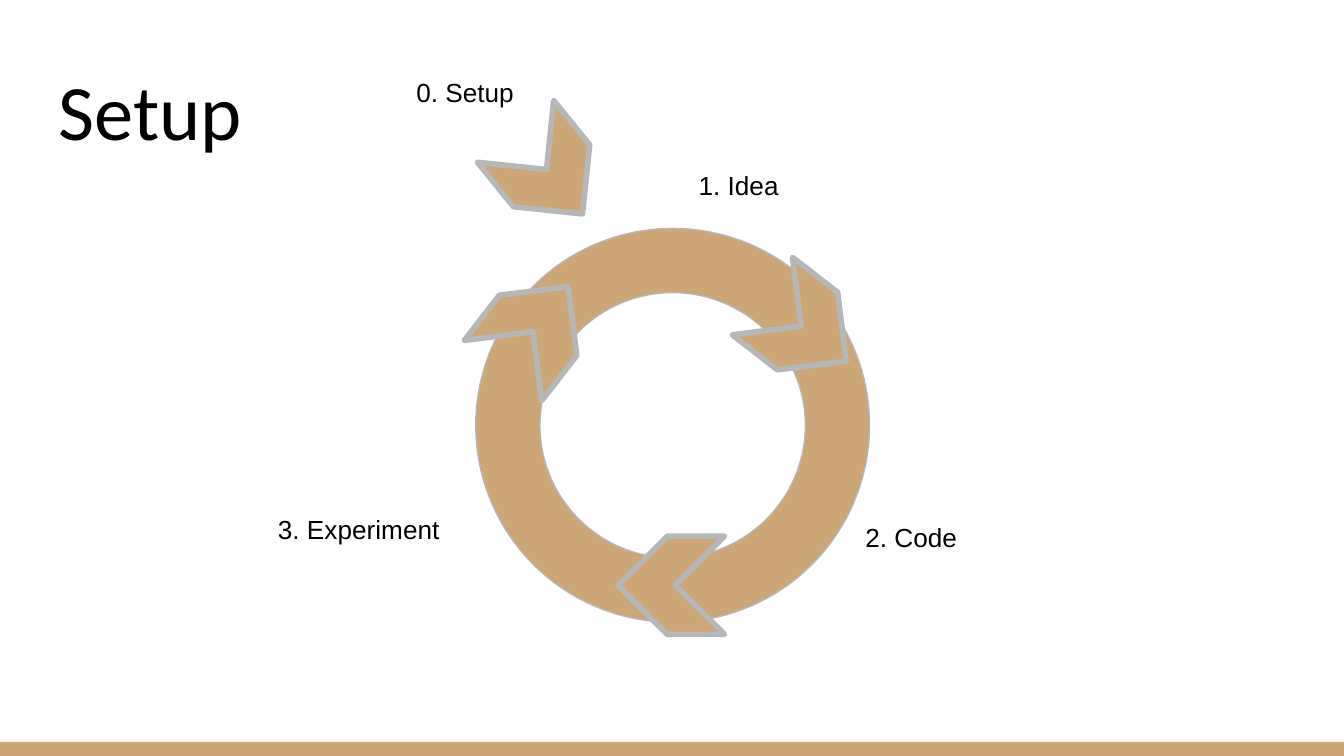
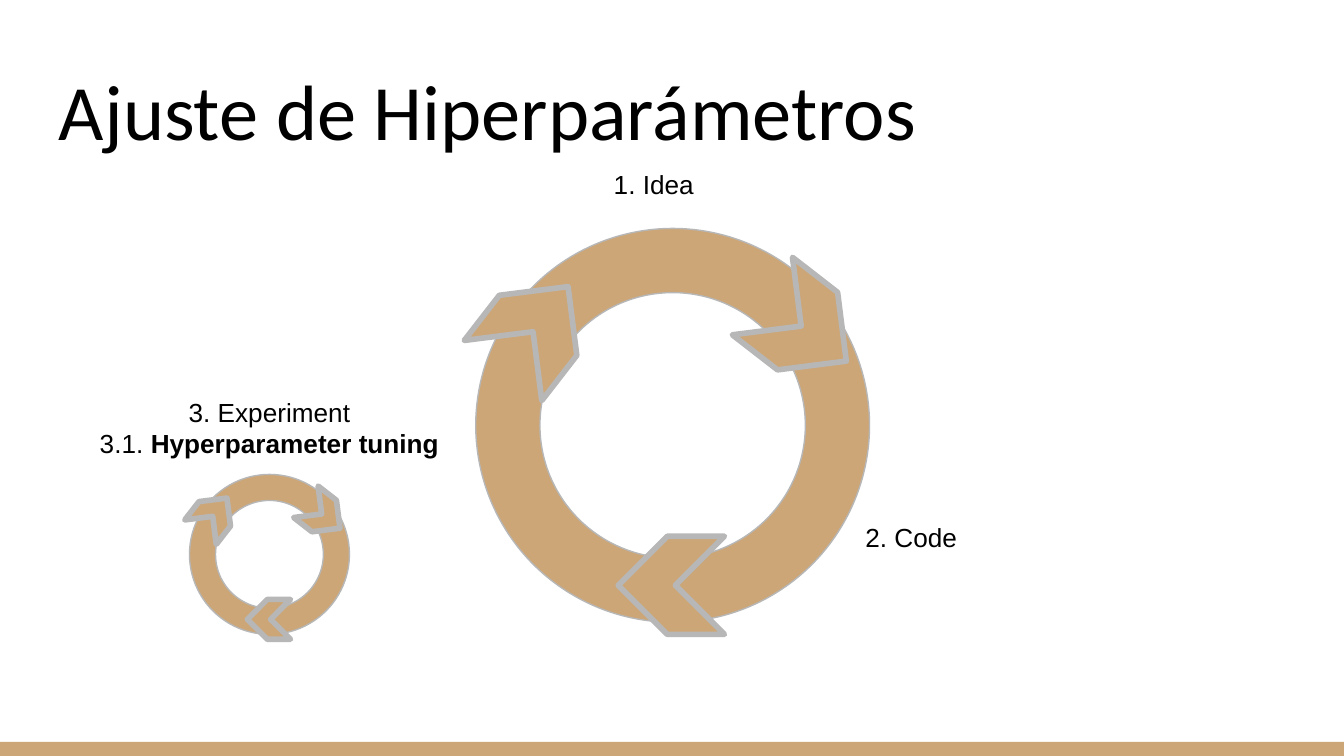
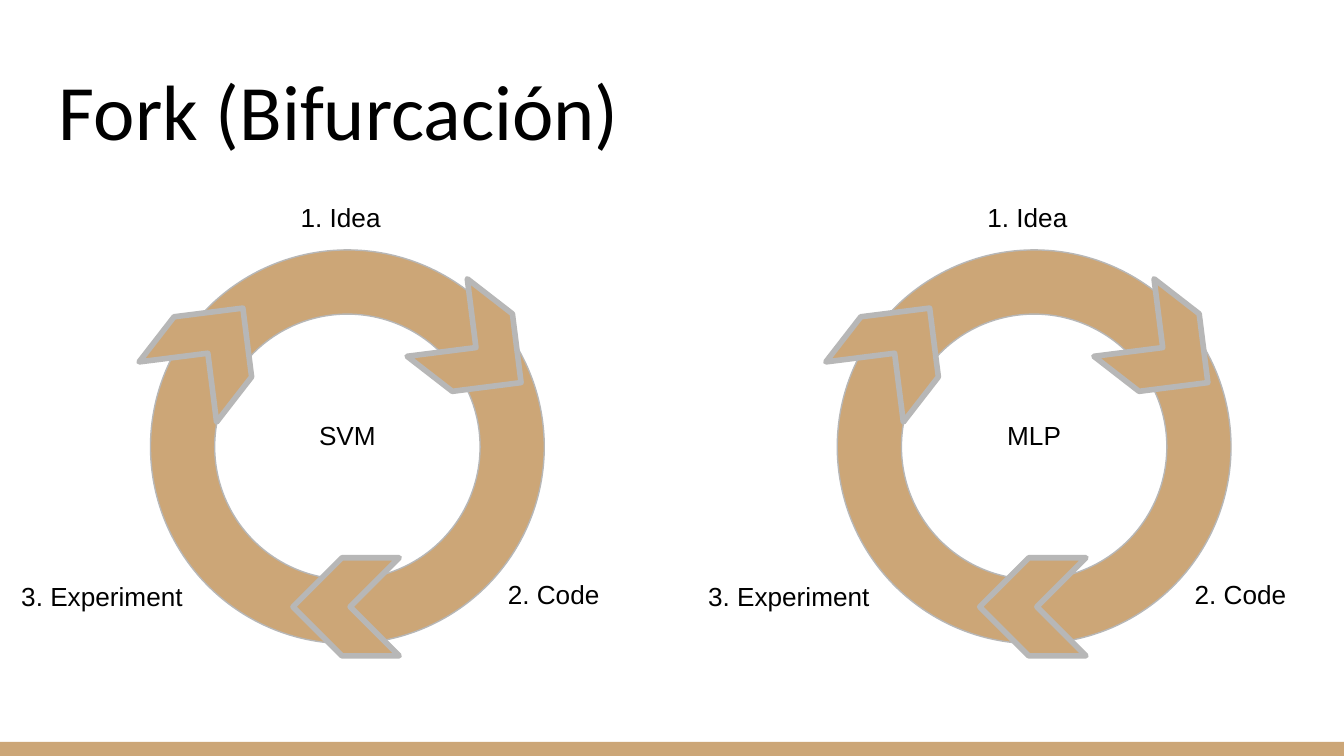
from pptx import Presentation
from pptx.dml.color import RGBColor
from pptx.enum.shapes import MSO_SHAPE
from pptx.enum.text import MSO_ANCHOR, PP_ALIGN
from pptx.util import Inches, Pt

TAN = RGBColor(0xCC, 0xA6, 0x77)
GRAY = RGBColor(0xB7, 0xB7, 0xB7)
BLACK = RGBColor(0, 0, 0)
RECT, DONUT, CHEVRON = MSO_SHAPE.RECTANGLE, MSO_SHAPE.DONUT, MSO_SHAPE.CHEVRON
LEFT, CENTER = PP_ALIGN.LEFT, PP_ALIGN.CENTER
TOP, BOTTOM = MSO_ANCHOR.TOP, MSO_ANCHOR.BOTTOM

RING = 2.93
ARROW = (0.79, 0.73)
TURNS = [(2.05, 0.38, 37.8), (1.06, 2.29, 180), (0.05, 0.38, 307.8)]


def label(home, left, top, lines, align=LEFT, indent=0, width=2.17, height=0.71,
          size=14, font="Arial", anchor=TOP):
    box = home.add_textbox(Inches(left), Inches(top), Inches(width), Inches(height))
    frame = box.text_frame
    frame.word_wrap = True
    frame.vertical_anchor = anchor
    frame.margin_left = frame.margin_right = Inches(0.1)
    frame.margin_top = frame.margin_bottom = Inches(0.1)
    for row, runs in enumerate(lines):
        para = frame.add_paragraph() if row else frame.paragraphs[0]
        para.alignment = align
        if indent:
            para._p.get_or_add_pPr().set("marL", str(Inches(indent)))
        for text, bold in runs:
            run = para.add_run()
            run.text = text
            run.font.name = font
            run.font.size = Pt(size)
            run.font.bold = bold
            run.font.color.rgb = BLACK


def shape(home, kind, left, top, width, height, line=0, adjust=None, turn=0):
    form = home.add_shape(kind, Inches(left), Inches(top), Inches(width), Inches(height))
    form.shadow.inherit = False
    form.fill.solid()
    form.fill.fore_color.rgb = TAN
    form.rotation = turn
    if adjust:
        form.adjustments[0] = adjust
    if line:
        form.line.color.rgb = GRAY
        form.line.width = Pt(line)
    else:
        form.line.fill.background()


deck = Presentation()
deck.slide_width = Inches(10)
deck.slide_height = Inches(5.625)

IDEA, CODE, TEST = [[("1. Idea", False)]], [[("2. Code", False)]], [[("3. Experiment", False)]]
TUNING = TEST + [[("3.1. ", False), ("Hyperparameter tuning", True)]]

pages = [
    ("Setup",
     [(3.54, 1.7, 1, None)],
     [(5.1, 1.16, IDEA, LEFT, 0),
      (5.84, 3.78, CODE, LEFT, 0.5),
      (1.47, 3.72, TEST, LEFT, 0.5),
      (3, 0.47, [[("0. Setup", False)]], LEFT, 0)],
     [(3.69, 0.92, 51)]),
    ("Ajuste de Hiperparámetros",
     [(3.54, 1.7, 1, None), (1.41, 3.53, 1.19 / RING, None)],
     [(3.53, 1.15, IDEA, CENTER, 0.5),
      (5.84, 3.78, CODE, LEFT, 0.5),
      (0.34, 2.85, TUNING, CENTER, 0, 3.33)],
     []),
    ("Fork (Bifurcación)",
     [(1.12, 1.86, 1, "SVM"), (6.23, 1.86, 1, "MLP")],
     [],
     []),
]

for title, rings, notes, extras in pages:
    slide = deck.slides.add_slide(deck.slide_layouts[6])
    shape(slide.shapes, RECT, 0, 5.52, 10, 0.11)
    label(slide.shapes, 0.34, 0.35, [[(title, False)]], width=9.32, height=0.91,
          size=42, font="Calibri", anchor=BOTTOM)
    for note in notes:
        label(slide.shapes, *note)
    for left, top, scale, name in rings:
        group = slide.shapes.add_group_shape().shapes
        if name:
            label(group, left + 0.08, top - 0.46, IDEA, CENTER, 0.5)
            label(group, left + 2.06, top + 2.34, CODE, LEFT, 0.5)
            label(group, left - 1.56, top + 2.36, TEST, LEFT, 0.5)
            label(group, left + 0.38, top + 1.16, [[(name, False)]], CENTER)
        shape(group, DONUT, left, top, RING * scale, RING * scale, 0.75, 0.163)
        for across, down, turn in TURNS:
            shape(group, CHEVRON, left + across * scale, top + down * scale,
                  ARROW[0] * scale, ARROW[1] * scale, 3, 0.5, turn)
    for left, top, turn in extras:
        shape(slide.shapes, CHEVRON, left, top, *ARROW, 3, 0.5, turn)

deck.save("out.pptx")
